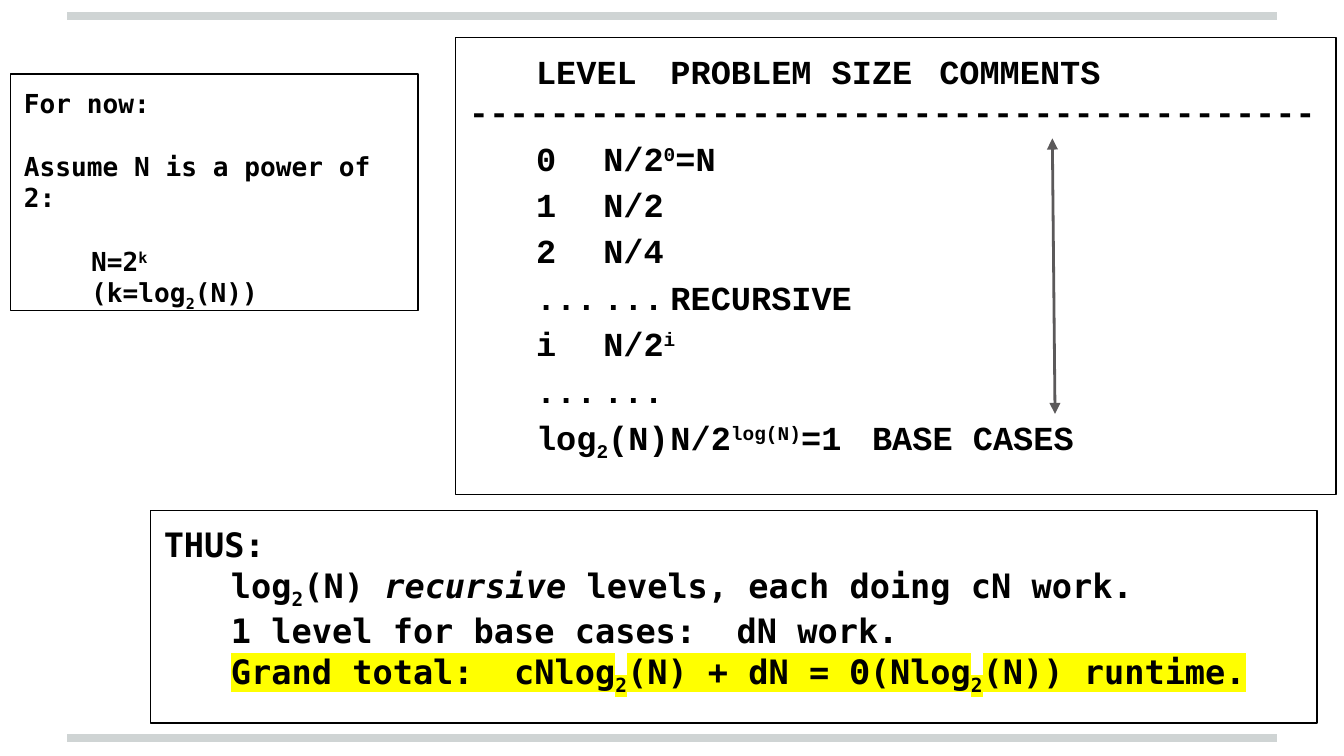
from dataclasses import dataclass

from lxml.etree import SubElement
from pptx import Presentation
from pptx.dml.color import RGBColor
from pptx.enum.shapes import MSO_CONNECTOR, MSO_SHAPE
from pptx.enum.text import MSO_ANCHOR, PP_ALIGN
from pptx.oxml.ns import qn
from pptx.util import Pt

BLACK, RULE, ARROW, YELLOW = "000000", "CFD4D4", "5B595A", "FFFF00"
COURIER, DEJAVU = "Courier New", "DejaVu Sans Mono"
CHAR = 10.8
SUP, SUB = 30000, -25000


@dataclass
class Span:
    text: str
    baseline: int = 0
    italic: bool = False


@dataclass
class Para:
    spans: list[Span]
    indent: float = 0
    before: float = 0
    spacing: float | None = None
    tabs: tuple[float, ...] = ()
    highlight: str | None = None


@dataclass
class Box:
    left: float
    top: float
    width: float
    height: float
    font: str
    size: float
    paras: list[Para]


def color(value: str) -> RGBColor:
    return RGBColor.from_string(value)


def plain(text: str) -> list[Span]:
    return [Span(text)]


def scripted(*parts: str, baseline: int = SUB) -> list[Span]:
    return [Span(text, baseline if i % 2 else 0) for i, text in enumerate(parts)]


def row(spans: list[Span], *columns: float, spacing: float | None = 1.15) -> Para:
    return Para(spans, spacing=spacing, tabs=tuple(c * CHAR for c in columns))


def add_text(p, text: str, *, font: str, size: float, baseline: int = 0,
             italic: bool = False, highlight: str | None = None) -> None:
    r = p.add_run()
    r.text = text
    r.font.size = Pt(size)
    r.font.bold = True
    r.font.italic = italic
    r.font.color.rgb = color(BLACK)
    rPr = r._r.get_or_add_rPr()
    if baseline:
        rPr.set("baseline", str(baseline))
    if highlight:
        mark = SubElement(rPr, qn("a:highlight"))
        SubElement(mark, qn("a:srgbClr"), val=highlight)
    r.font.name = font


def format_para(p, para: Para) -> None:
    p.alignment = PP_ALIGN.LEFT
    p.space_before = Pt(para.before)
    if para.spacing:
        p.line_spacing = para.spacing
    pPr = p._p.get_or_add_pPr()
    pPr.set("marL", str(Pt(para.indent)))
    pPr.set("indent", "0")
    if para.tabs:
        tabs = SubElement(pPr, qn("a:tabLst"))
        for pos in para.tabs:
            SubElement(tabs, qn("a:tab"), pos=str(Pt(pos)), algn="l")


def add_box(s, box: Box) -> None:
    sp = s.shapes.add_shape(MSO_SHAPE.RECTANGLE, Pt(box.left), Pt(box.top),
                            Pt(box.width), Pt(box.height))
    sp.shadow.inherit = False
    sp.fill.background()
    sp.line.color.rgb = color(BLACK)
    sp.line.width = Pt(0.75)
    tf = sp.text_frame
    tf.word_wrap = True
    tf.vertical_anchor = MSO_ANCHOR.TOP
    tf.margin_left = tf.margin_top = tf.margin_right = tf.margin_bottom = Pt(7.2)
    for i, para in enumerate(box.paras):
        p = tf.add_paragraph() if i else tf.paragraphs[0]
        format_para(p, para)
        for span in para.spans:
            add_text(p, span.text, font=box.font, size=box.size,
                     baseline=span.baseline, italic=span.italic,
                     highlight=para.highlight)


def add_line(s, x1: float, y1: float, x2: float, y2: float, line_color: str,
             width: float, arrows: bool = False) -> None:
    c = s.shapes.add_connector(MSO_CONNECTOR.STRAIGHT, Pt(x1), Pt(y1), Pt(x2), Pt(y2))
    c.line.color.rgb = color(line_color)
    c.line.width = Pt(width)
    if arrows:
        ln = c.line._get_or_add_ln()
        for end in ("a:headEnd", "a:tailEnd"):
            SubElement(ln, qn(end), type="triangle")
    SubElement(c._element.spPr, qn("a:effectLst"))


LEVELS = Box(244.08, 20.16, 471.6, 244.8, COURIER, 18, [
    row(plain("\tLEVEL\tPROBLEM SIZE\tCOMMENTS"), 2, 15, 32, spacing=None),
    Para(plain("-" * 42)),
    row(scripted("\t0\tN/2", "0", "=N", baseline=SUP), 3, 19),
    row(plain("\t1\tN/2"), 3, 19),
    row(plain("\t2\tN/4"), 3, 19),
    row(plain("\t...\t...\tRECURSIVE"), 2, 19, 33),
    row(scripted("\ti\tN/2", "i", baseline=SUP), 3, 19),
    row(plain("\t...\t..."), 2, 19),
    row([Span("\tlog"), Span("2", SUB), Span("(N)\tN/2"), Span("log(N)", SUP),
         Span("=1\tBASE CASES")], 2, 18.6, 32.1),
])

RESULT = Box(80.64, 273.6, 624.96, 113.76, DEJAVU, 18, [
    Para(plain("THUS:")),
    Para([*scripted("log", "2", "(N) "), Span("recursive", italic=True),
          Span(" levels, each doing cN work.")], indent=36),
    Para(plain("1 level for base cases:  dN work."), indent=36),
    Para(scripted("Grand total:  cNlog", "2", "(N) + dN = Θ(Nlog", "2", "(N)) runtime."),
         indent=36, highlight=YELLOW),
])

ASSUMPTION = Box(5.76, 39.6, 218.16, 126.72, DEJAVU, 14, [
    Para(plain("For now:")),
    Para(plain("Assume N is a power of 2:"), before=17),
    Para(scripted("N=2", "k", baseline=SUP), indent=36, before=17),
    Para(scripted("(k=log", "2", "(N))"), indent=36),
])


def main() -> None:
    prs = Presentation()
    prs.slide_width, prs.slide_height = Pt(720), Pt(405)
    s = prs.slides.add_slide(prs.slide_layouts[6])
    for y in (395.28, 8.64):
        add_line(s, 36, y, 684, y, RULE, 4)
    add_box(s, LEVELS)
    add_line(s, 563.76, 74.16, 565.2, 221.76, ARROW, 1.5, arrows=True)
    add_box(s, RESULT)
    add_box(s, ASSUMPTION)
    prs.save("out.pptx")


if __name__ == "__main__":
    main()
